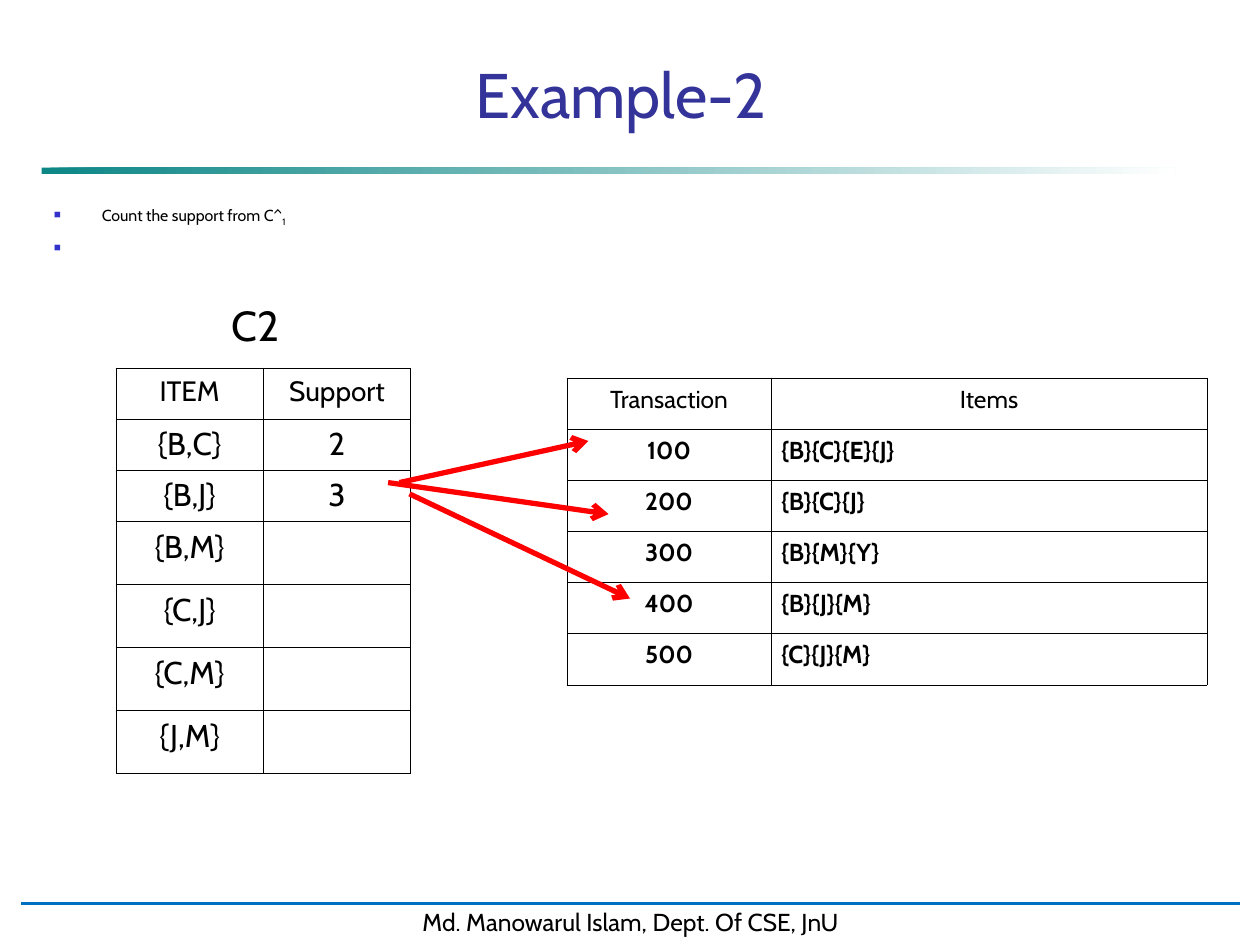
import pptx
import pptx.util
import pptx.dml.color
import pptx.enum.shapes
import pptx.enum.text
import pptx.oxml.ns
from lxml import etree

Inches, Pt = pptx.util.Inches, pptx.util.Pt
RGBColor = pptx.dml.color.RGBColor
ALIGN, ANCHOR = pptx.enum.text.PP_ALIGN, pptx.enum.text.MSO_ANCHOR
SHAPE, CONNECTOR = pptx.enum.shapes.MSO_SHAPE, pptx.enum.shapes.MSO_CONNECTOR
qn = pptx.oxml.ns.qn

FONT = "Cabin"
BLACK = RGBColor(0x00, 0x00, 0x00)
WHITE = RGBColor(0xFF, 0xFF, 0xFF)
TEAL = RGBColor(0x00, 0x80, 0x80)
INDIGO = RGBColor(0x33, 0x33, 0x99)
BULLET_BLUE = RGBColor(0x33, 0x33, 0xCC)
FOOTER_BLUE = RGBColor(0x00, 0x70, 0xC0)
RED = RGBColor(0xFF, 0x00, 0x00)

SUPPORT = [("ITEM", "Support"), ("{B,C}", "2"), ("{B,J}", "3"), ("{B,M}", ""),
           ("{C,J}", ""), ("{C,M}", ""), ("{J,M}", "")]
TRANSACTIONS = [("Transaction", "Items"), ("100", "{B}{C}{E}{J}"),
                ("200", "{B}{C}{J}"), ("300", "{B}{M}{Y}"),
                ("400", "{B}{J}{M}"), ("500", "{C}{J}{M}")]
ROW_HEIGHT = 0.406
ARROWS = [((3.17, 3.83), (4.67, 3.5)), ((3.08, 3.83), (4.83, 4.08)),
          ((3.25, 3.92), (5, 4.75))]


def add_xml(parent, tag, **attrs):
    return etree.SubElement(parent, qn(tag), attrs)


def style_runs(p, size, color=BLACK, bold=False):
    for r in p.runs:
        r.font.name, r.font.size = FONT, Pt(size)
        r.font.color.rgb, r.font.bold = color, bold


def add_text(s, box, text, size, color=BLACK, align=ALIGN.LEFT,
             anchor=ANCHOR.TOP, wrap=True):
    tf = s.shapes.add_textbox(*map(Inches, box)).text_frame
    tf.word_wrap, tf.vertical_anchor = wrap, anchor
    p = tf.paragraphs[0]
    p.text, p.alignment = text, align
    style_runs(p, size, color)
    return tf


def add_line(s, start, end, color, width, arrow=False):
    line = s.shapes.add_connector(CONNECTOR.STRAIGHT,
                                  *map(Inches, (*start, *end)))
    line.line.color.rgb, line.line.width = color, Pt(width)
    if arrow:
        add_xml(line.line._get_or_add_ln(), "a:tailEnd", type="arrow")
    add_xml(line._element.spPr, "a:effectLst")


def add_title(s, box):
    add_text(s, box, "Example-2", 36, INDIGO, ALIGN.CENTER, ANCHOR.BOTTOM)


def add_title_rule(s, box):
    sp = s.shapes.add_shape(SHAPE.RECTANGLE, *map(Inches, box))
    sp.shadow.inherit = False
    sp.line.fill.background()
    sp.fill.gradient()
    sp.fill.gradient_angle = 0
    for stop, color in zip(sp.fill.gradient_stops, (TEAL, WHITE)):
        stop.color.rgb = color
    for color in sp._element.spPr.iter(qn("a:srgbClr")):
        add_xml(color, "a:alpha", val="95000")


def add_footer(s, box):
    left, top, width, _ = box
    sp = s.shapes.add_shape(SHAPE.RECTANGLE, *map(Inches, box))
    sp.shadow.inherit = False
    sp.fill.solid()
    sp.fill.fore_color.rgb = sp.line.color.rgb = WHITE
    sp.line.width = Pt(2)
    tf = sp.text_frame
    tf.word_wrap, tf.vertical_anchor = False, ANCHOR.TOP
    p = tf.paragraphs[0]
    p.text, p.alignment = "Md. Manowarul Islam, Dept. Of CSE, JnU", ALIGN.CENTER
    style_runs(p, 14)
    add_line(s, (left, top + 0.02), (left + width, top + 0.02), FOOTER_BLUE, 1.75)


def add_bullets(s, box):
    tf = add_text(s, box, "Count the support from C^", 9.1)
    first, second = tf.paragraphs[0], tf.add_paragraph()
    first.add_run().text = "1"
    second.text = " "  # the second bullet has no words
    second.space_before = Pt(7)
    for p in (first, second):
        pPr = p._p.get_or_add_pPr()
        pPr.set("marL", str(Inches(0.38)))
        pPr.set("indent", str(-Inches(0.38)))
        add_xml(add_xml(pPr, "a:buClr"), "a:srgbClr", val=str(BULLET_BLUE))
        add_xml(pPr, "a:buSzPct", val="60000")
        add_xml(pPr, "a:buChar", char="■")
        style_runs(p, 9.1)
    first.runs[1].font._element.set("baseline", "-25000")


def set_borders(cell):
    tcPr = cell._tc.get_or_add_tcPr()
    for side in ("a:lnL", "a:lnR", "a:lnT", "a:lnB"):
        ln = add_xml(tcPr, side, w=str(Pt(0.45)))
        add_xml(add_xml(ln, "a:solidFill"), "a:srgbClr", val=str(BLACK))


def add_grid(s, left, top, widths, rows, head_size, body_size,
             body_align=ALIGN.CENTER, body_bold=False, body_margin=0.1):
    """Bordered table; body_align applies to the last column of the body."""
    table = s.shapes.add_table(
        len(rows), len(widths), Inches(left), Inches(top),
        Inches(sum(widths)), Inches(ROW_HEIGHT * len(rows))).table
    table.first_row = table.horz_banding = False
    for column, width in zip(table.columns, widths):
        column.width = Inches(width)
    for i, row in enumerate(rows):
        table.rows[i].height = Inches(ROW_HEIGHT)
        for j, text in enumerate(row):
            cell = table.cell(i, j)
            set_borders(cell)
            cell.fill.background()
            cell.margin_left = cell.margin_right = Inches(body_margin if i else 0.1)
            p = cell.text_frame.paragraphs[0]
            is_last_body = i > 0 and j == len(row) - 1
            p.alignment = body_align if is_last_body else ALIGN.CENTER
            if text:
                p.text = text
                style_runs(p, body_size if i else head_size,
                           bold=body_bold and i > 0)
            else:  # empty cells keep a 24 pt line, which sets the row height
                end = add_xml(p._p, "a:endParaRPr", sz="2400")
                add_xml(end, "a:latin", typeface=FONT)


def add_support_table(s, left, top):
    add_text(s, (left + 0.82, top - 0.59, 0.6, 0.5), "C2", 24, wrap=False)
    add_grid(s, left, top, (1.17, 1.17), SUPPORT, 16, 18)


def add_transaction_table(s, left, top):
    add_grid(s, left, top, (1.62, 3.46), TRANSACTIONS, 14, 14,
             ALIGN.LEFT, body_bold=True, body_margin=0.08)


def main():
    prs = pptx.Presentation()
    prs.slide_width, prs.slide_height = Inches(10), Inches(7.5)
    s = prs.slides.add_slide(prs.slide_layouts[6])
    add_title_rule(s, (0.33, 1.33, 9, 0.05))
    add_footer(s, (0.17, 7.15, 9.67, 0.33))
    add_title(s, (0.67, 0.42, 8.52, 0.67))
    add_bullets(s, (0.33, 1.58, 9.17, 0.5))
    add_support_table(s, 0.92, 2.92)
    add_transaction_table(s, 4.5, 3)
    for start, end in ARROWS:
        add_line(s, start, end, RED, 3, arrow=True)
    prs.save("out.pptx")


if __name__ == "__main__":
    main()
